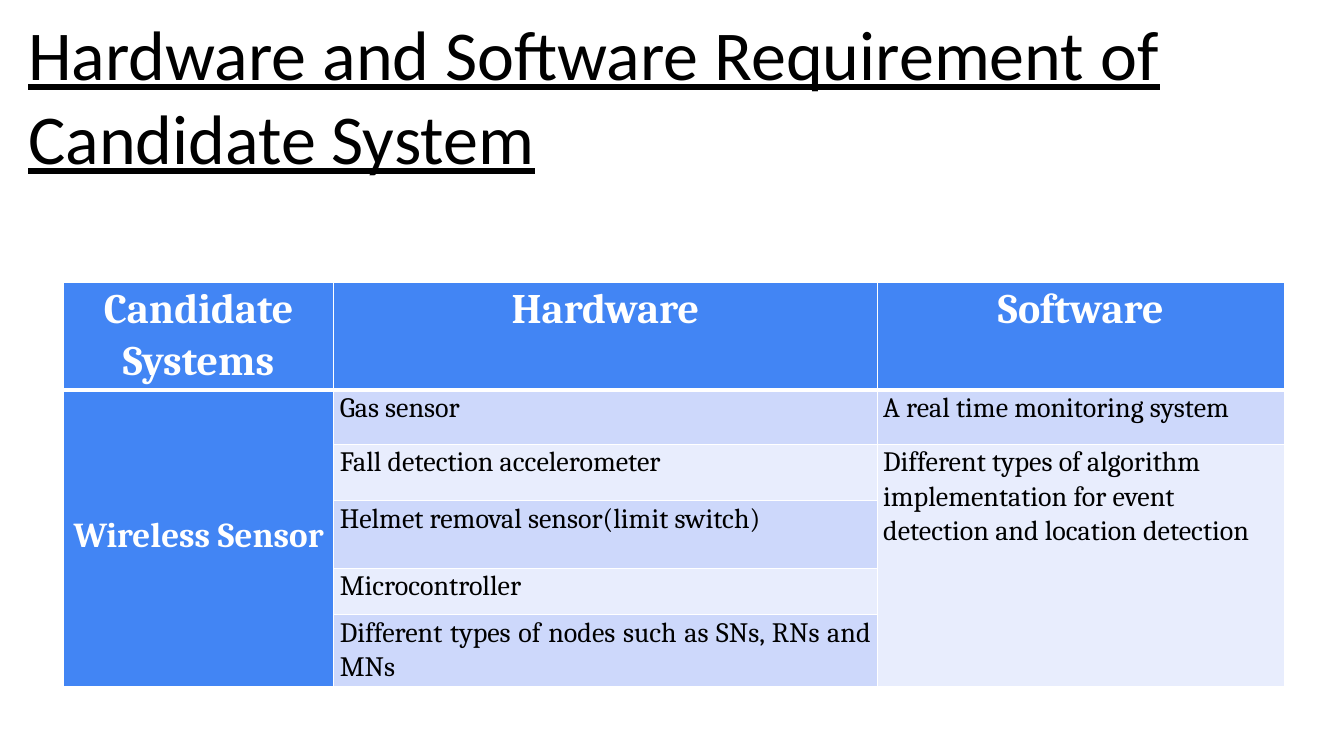
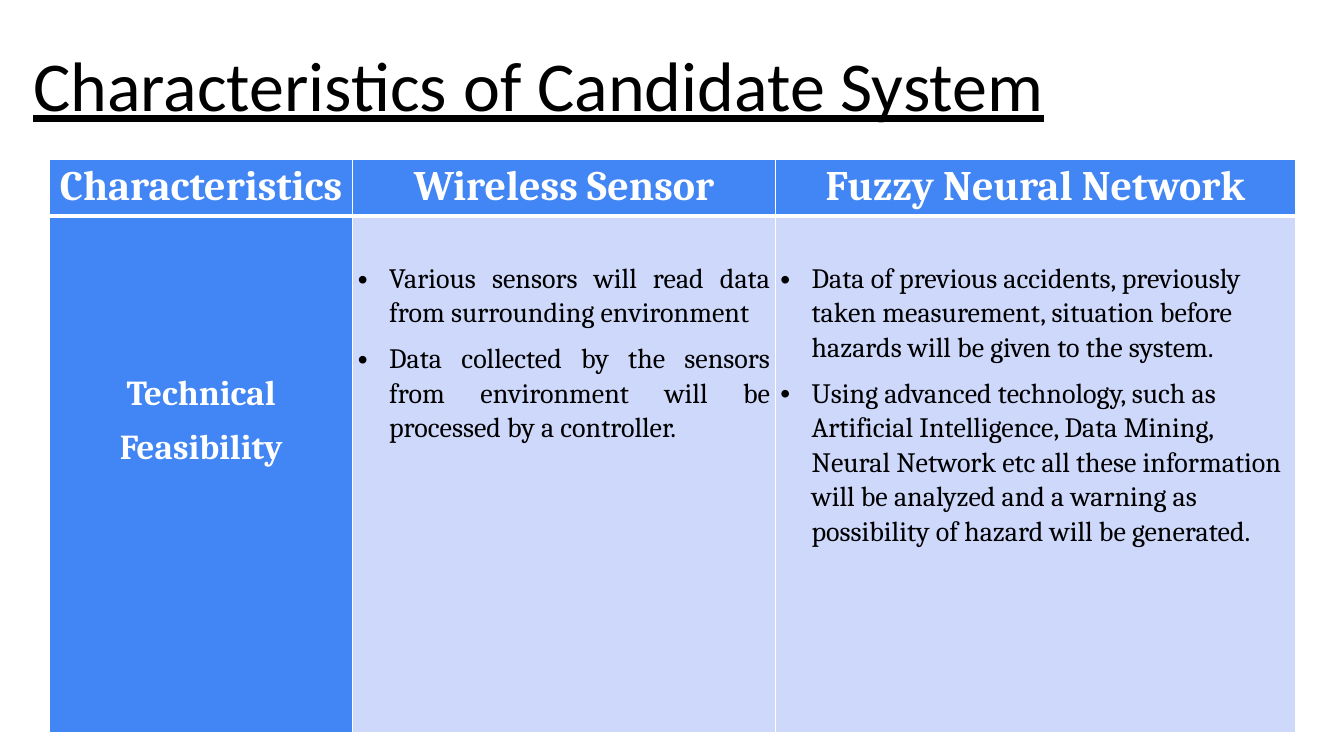
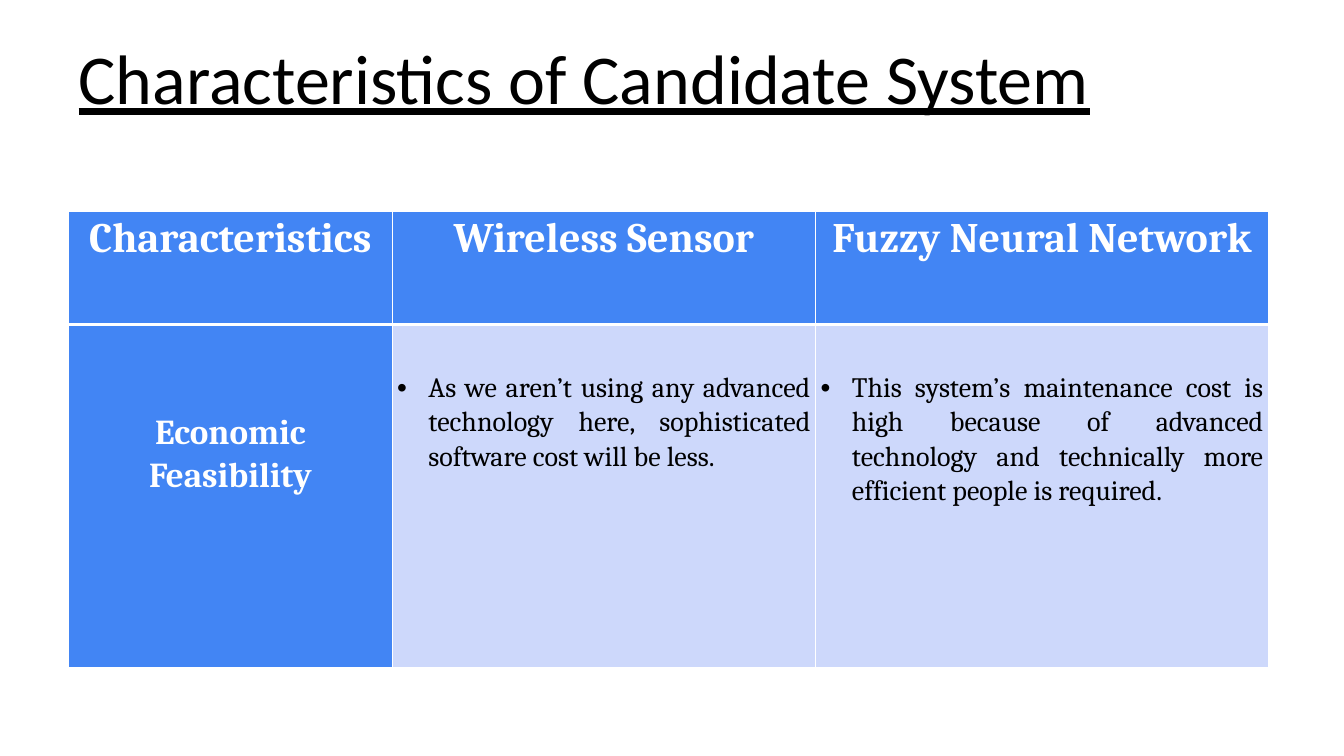
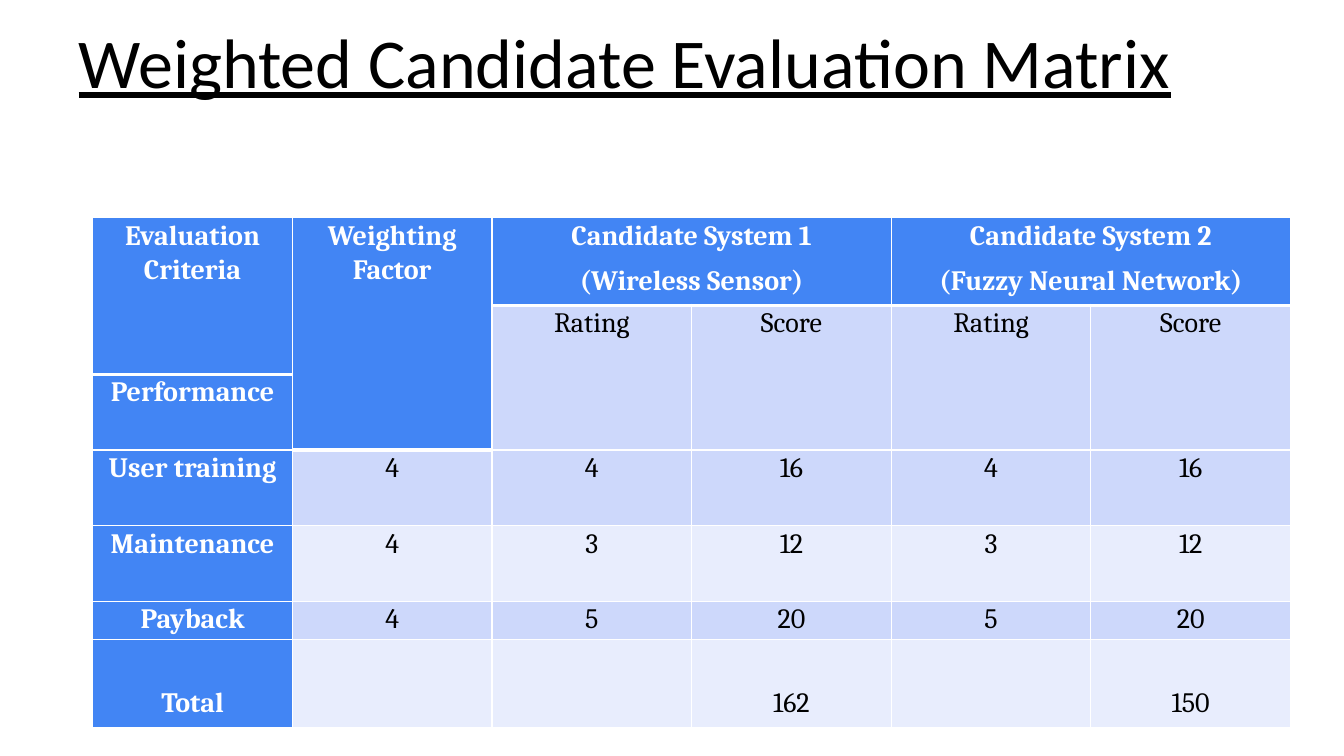
from lxml import etree
from pptx import Presentation
from pptx import util as u
from pptx.dml import color
from pptx.enum import text
from pptx.oxml import ns

PX = 9144
BLUE, BAND_ODD, BAND_EVEN = "4285F4", "CDD8FB", "E8EDFD"
WHITE, BLACK = "FFFFFF", "000000"
CENTER, LEFT, JUSTIFY = text.PP_ALIGN.CENTER, text.PP_ALIGN.LEFT, text.PP_ALIGN.JUSTIFY
TITLE_FONT = {"name": "Calibri", "size": u.Pt(50), "underline": True, "bold": False}
TITLE_FRAME = {"word_wrap": True, "auto_size": text.MSO_AUTO_SIZE.NONE,
               "vertical_anchor": text.MSO_ANCHOR.TOP}
BULLET_INDENT = 31


def rgb(value):
    return color.RGBColor.from_string(value)


def add_xml(parent, tag, **attributes):
    return etree.SubElement(parent, ns.qn(tag), attributes)


feasibility_header = ["Characteristics", "Wireless Sensor", "Fuzzy Neural Network"]

pages = [
    {
        "title": "Hardware and Software Requirement of Candidate System",
        "title_box": (18, 5, 1302, 212),
        "corner": (63, 280),
        "columns": [268, 539, 404],
        "rows": [107, 54, 56, 67, 46, 71],
        "side": 6,
        "sizes": (30, 25),
        "align": JUSTIFY,
        "left_cells": [(2, 2)],
        "padding": {(1, 0): 122},
        "merges": [(1, 0, 5, 0), (2, 2, 5, 2)],
        "bullets": False,
        "cells": [
            ["Candidate Systems", "Hardware", "Software"],
            ["Wireless Sensor", "Gas sensor", "A real time monitoring system"],
            ["", "Fall detection accelerometer",
             "Different types of algorithm implementation for event detection and location detection"],
            ["", "Helmet removal sensor(limit switch)", ""],
            ["", "Microcontroller", ""],
            ["", "Different types of nodes such as SNs, RNs and MNs", ""],
        ],
    },
    {
        "title": "Characteristics of Candidate System",
        "title_box": (23, 36, 1258, 111),
        "corner": (49, 158),
        "columns": [301, 419, 516],
        "rows": [56, 513],
        "side": 5,
        "sizes": (30, 25),
        "align": JUSTIFY,
        "left_cells": [(1, 2)],
        "padding": {(1, 0): 154, (1, 1): 45, (1, 2): 45},
        "merges": [],
        "bullets": True,
        "cells": [
            feasibility_header,
            ["Technical\nFeasibility",
             "Various sensors will read data from surrounding environment\n"
             "Data collected by the sensors from environment will be processed by a controller.",
             "Data of previous accidents, previously taken measurement, situation before "
             "hazards will be given to the system.\n"
             "Using advanced technology, such as Artificial Intelligence, Data Mining, "
             "Neural Network etc all these information will be analyzed and a warning as "
             "possibility of hazard will be generated."],
        ],
    },
    {
        "title": "Characteristics of Candidate System",
        "title_box": (68, 29, 1232, 111),
        "corner": (68, 210),
        "columns": [321, 420, 449],
        "rows": [112, 340],
        "side": 5,
        "sizes": (30, 25),
        "align": JUSTIFY,
        "left_cells": [],
        "padding": {(1, 0): 85, (1, 1): 45, (1, 2): 45},
        "merges": [],
        "bullets": True,
        "cells": [
            feasibility_header,
            ["Economic Feasibility",
             "As we aren’t using any advanced technology here, sophisticated software cost "
             "will be less.",
             "This system’s maintenance cost is high because of advanced technology and "
             "technically more efficient people is required."],
        ],
    },
    {
        "title": "Weighted Candidate Evaluation Matrix",
        "title_box": (68, 13, 1184, 235),
        "corner": (92, 216),
        "columns": [198] * 6,
        "rows": [87, 68, 75, 75, 75, 38, 87],
        "side": 7,
        "sizes": (20, 20),
        "align": CENTER,
        "left_cells": [],
        "padding": {(6, column): 45 for column in (0, 3, 5)},
        "merges": [(0, 0, 1, 0), (0, 1, 2, 1), (0, 2, 0, 3), (0, 4, 0, 5)]
                  + [(1, column, 2, column) for column in range(2, 6)],
        "bullets": False,
        "cells": [
            ["Evaluation Criteria", "Weighting Factor",
             "Candidate System 1\n(Wireless Sensor)", "",
             "Candidate System 2\n(Fuzzy Neural Network)", ""],
            ["", "", "Rating", "Score", "Rating", "Score"],
            ["Performance", "", "", "", "", ""],
            ["User training", "4", "4", "16", "4", "16"],
            ["Maintenance", "4", "3", "12", "3", "12"],
            ["Payback", "4", "5", "20", "5", "20"],
            ["Total", "", "", "162", "", "150"],
        ],
    },
]

deck = Presentation()
deck.slide_width, deck.slide_height = 1333 * PX, 750 * PX
title_only = deck.slide_layouts[5]

for page in pages:
    slide = deck.slides.add_slide(title_only)
    heading = slide.shapes.title
    for side, length in zip(("left", "top", "width", "height"), page["title_box"]):
        setattr(heading, side, length * PX)
    for key, value in TITLE_FRAME.items():
        setattr(heading.text_frame, key, value)
    heading.text_frame.text = page["title"]
    heading_line = heading.text_frame.paragraphs[0]
    heading_line.alignment = LEFT
    for key, value in TITLE_FONT.items():
        setattr(heading_line.runs[0].font, key, value)
    heading_line.runs[0].font.color.rgb = rgb(BLACK)

    left, top = page["corner"]
    columns, rows = page["columns"], page["rows"]
    matrix = slide.shapes.add_table(len(rows), len(columns), left * PX, top * PX,
                                    sum(columns) * PX, sum(rows) * PX).table
    matrix.first_row = matrix.horz_banding = False
    for column, width in zip(matrix.columns, columns):
        column.width = width * PX
    for row, height in zip(matrix.rows, rows):
        row.height = height * PX
    for first_row, first_column, last_row, last_column in page["merges"]:
        matrix.cell(first_row, first_column).merge(matrix.cell(last_row, last_column))

    for r, entries in enumerate(page["cells"]):
        for c, entry in enumerate(entries):
            cell = matrix.cell(r, c)
            is_label = r == 0 or c == 0
            margins = {"margin_left": page["side"], "margin_right": page["side"],
                       "margin_top": page["padding"].get((r, c), 0), "margin_bottom": 0}
            for key, value in margins.items():
                setattr(cell, key, value * PX)

            properties = cell._tc.get_or_add_tcPr()
            for edge in "LRTB":
                weight = 3 if r == 0 and edge == "B" else 1
                border = add_xml(properties, "a:ln" + edge, w=str(u.Pt(weight)))
                add_xml(add_xml(border, "a:solidFill"), "a:srgbClr", val=WHITE)
            cell.fill.solid()
            cell.fill.fore_color.rgb = rgb(BLUE if is_label else BAND_ODD if r % 2 else BAND_EVEN)
            if not entry:
                continue

            cell.text = entry
            header_size, label_size = page["sizes"]
            size = header_size if r == 0 else label_size if c == 0 else 20
            font_values = {"name": "Cambria", "size": u.Pt(size), "bold": is_label}
            align = CENTER if is_label else LEFT if (r, c) in page["left_cells"] else page["align"]
            for index, paragraph in enumerate(cell.text_frame.paragraphs):
                if page["bullets"] and not is_label:
                    bullet = paragraph._p.get_or_add_pPr()
                    bullet.set("marL", str(BULLET_INDENT * PX))
                    bullet.set("indent", str(-BULLET_INDENT * PX))
                    add_xml(add_xml(bullet, "a:buClr"), "a:srgbClr", val=BLACK)
                    add_xml(bullet, "a:buFont", typeface="Arial")
                    add_xml(bullet, "a:buChar", char="•")
                paragraph.alignment = align
                paragraph.line_spacing = 1.07
                if index:
                    paragraph.space_before = u.Pt(8)
                for key, value in font_values.items():
                    setattr(paragraph.runs[0].font, key, value)
                paragraph.runs[0].font.color.rgb = rgb(WHITE if is_label else BLACK)

deck.save("out.pptx")
